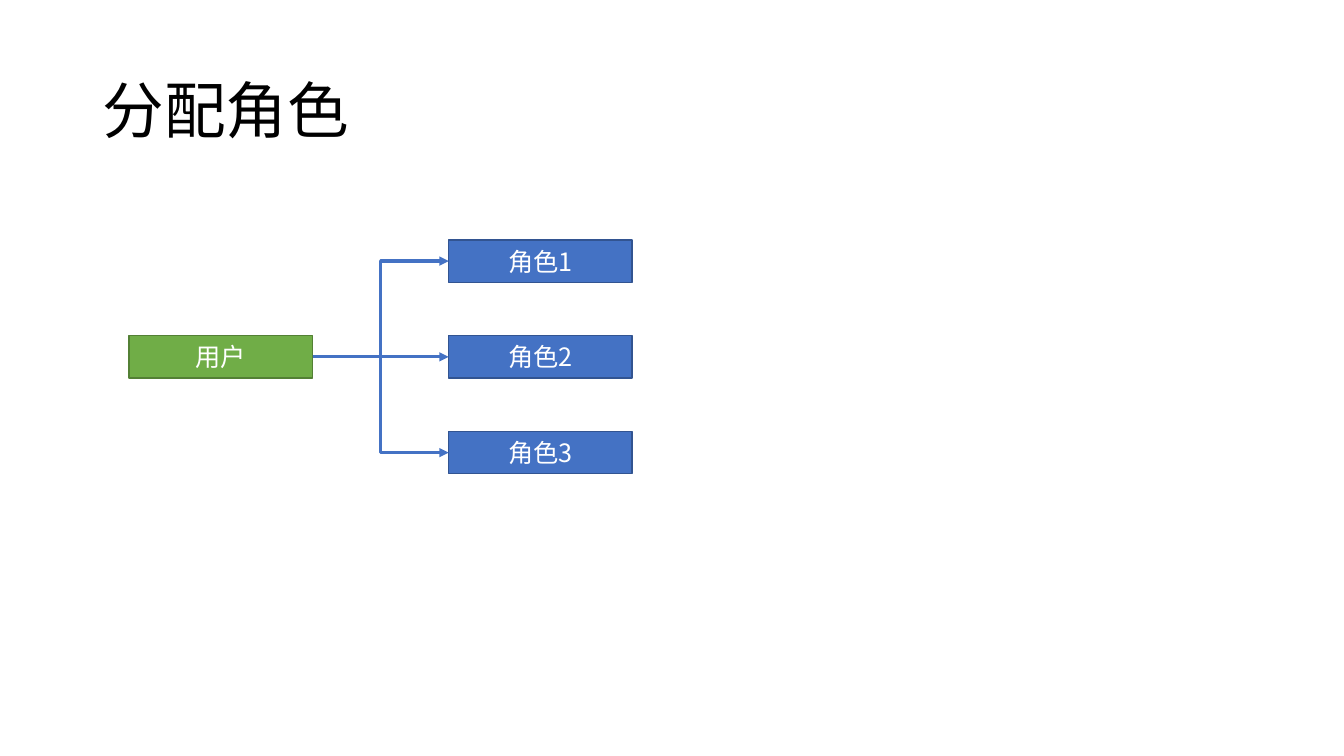
from lxml import etree
from pptx import Presentation
from pptx import util as u
from pptx.dml.color import RGBColor
from pptx.enum import shapes, text
from pptx.oxml.ns import qn


def tint(code):
    return RGBColor.from_string(code)


class Board:
    face = "Noto Sans CJK SC"
    blue, green, white, black = "4472C4", "70AD47", "FFFFFF", "000000"

    def __init__(self, slide):
        self.slide = slide

    def label(self, shape, words, size, color, **form):
        frame = shape.text_frame
        frame.word_wrap = True
        frame.vertical_anchor = text.MSO_ANCHOR.MIDDLE
        para = frame.paragraphs[0]
        for key, value in form.items():
            setattr(para, key, value)
        run = para.add_run()
        run.text = words
        for key, value in {"size": u.Pt(size), "name": self.face}.items():
            setattr(run.font, key, value)
        run.font.color.rgb = tint(color)
        # East Asian typeface
        mark = etree.SubElement(run.font._element, qn("a:ea"))
        mark.set("typeface", self.face)

    def title(self, words, *area):
        box = self.slide.shapes.add_textbox(*map(u.Inches, area))
        self.label(box, words, 44, self.black, line_spacing=0.9)

    def box(self, words, left, top, fill, edge):
        area = map(u.Inches, (left, top, 1.82, 0.42))
        box = self.slide.shapes.add_shape(shapes.MSO_SHAPE.RECTANGLE, *area)
        box.shadow.inherit = False
        box.fill.solid()
        box.fill.fore_color.rgb = tint(fill)
        box.line.color.rgb = tint(edge)
        box.line.width = u.Pt(1)
        self.label(box, words, 18, self.white, alignment=text.PP_ALIGN.CENTER)
        return box

    def arrow(self, start, end):
        kind = shapes.MSO_CONNECTOR.ELBOW
        link = self.slide.shapes.add_connector(kind, 0, 0, 0, 0)
        # Right side of the first box to the left side of the second
        link.begin_connect(start, 3)
        link.end_connect(end, 1)
        link.line.color.rgb = tint(self.blue)
        link.line.width = u.Pt(2.25)
        props = link._element.spPr
        tip = etree.SubElement(props.find(qn("a:ln")), qn("a:tailEnd"))
        tip.set("type", "triangle")
        etree.SubElement(props, qn("a:effectLst"))


def main():
    deck = Presentation()
    deck.slide_width = u.Inches(13.33)
    deck.slide_height = u.Inches(7.5)
    board = Board(deck.slides.add_slide(deck.slide_layouts[6]))

    # Title
    board.title("分配角色", 0.92, 0.4, 11.5, 1.45)

    # User and roles
    user = board.box("用户", 1.28, 3.33, board.green, "538035")
    roles = [board.box(f"角色{n}", 4.45, 2.38 + 0.95 * (n - 1), board.blue, "325491")
             for n in (1, 2, 3)]

    # Arrows from the user to each role
    for role in roles:
        board.arrow(user, role)

    deck.save("out.pptx")


if __name__ == "__main__":
    main()
